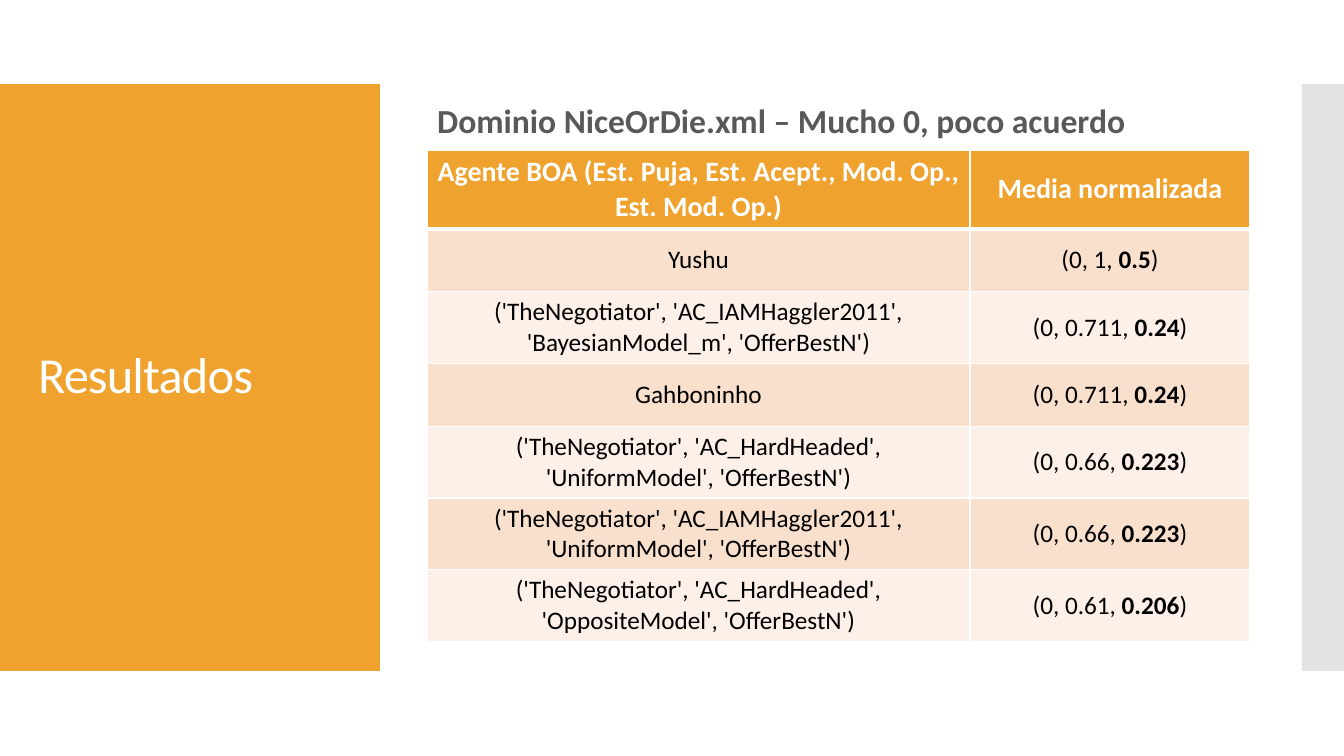
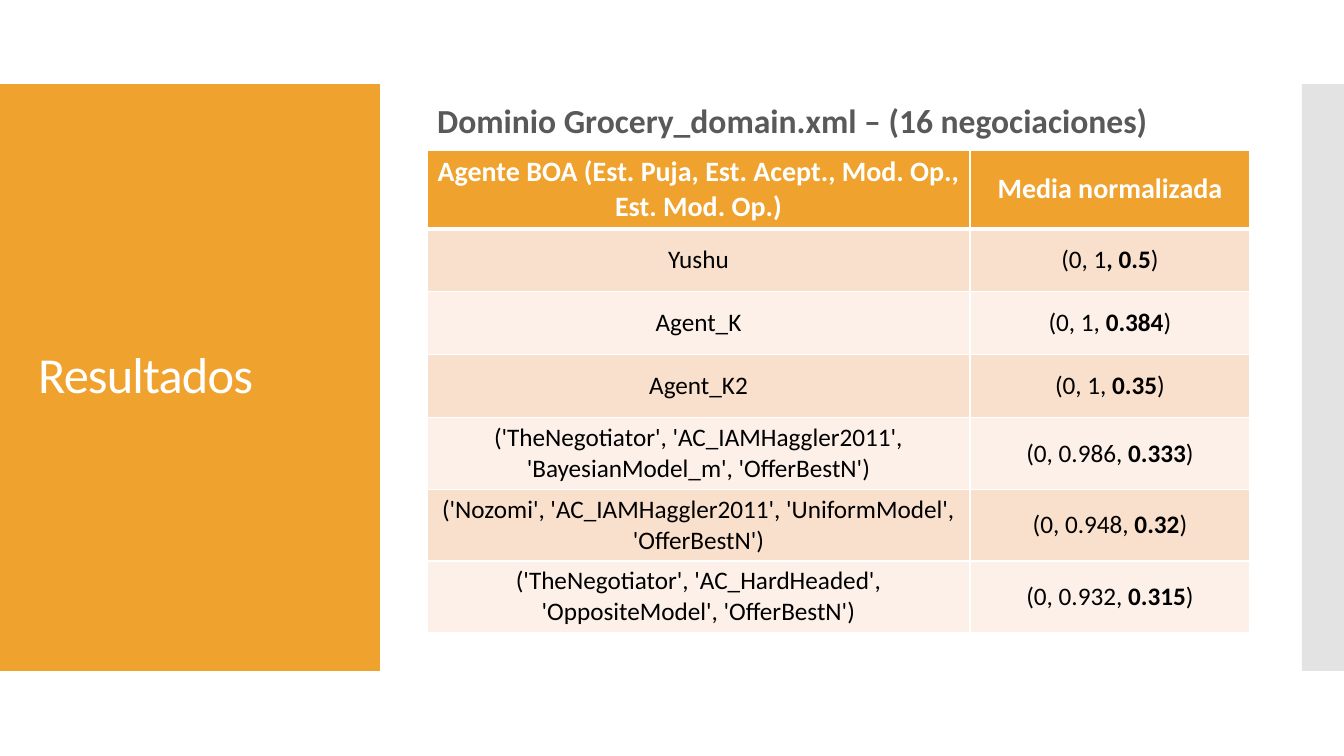
import dataclasses

import lxml.etree
import pptx
import pptx.dml.color
import pptx.enum.shapes
import pptx.enum.text
import pptx.oxml.ns
import pptx.util

PIXELS_PER_INCH = 100.8
MIDDLE = pptx.enum.text.MSO_ANCHOR.MIDDLE
LEFT = pptx.enum.text.PP_ALIGN.LEFT
CENTER = pptx.enum.text.PP_ALIGN.CENTER


@dataclasses.dataclass(frozen=True)
class Theme:
    """Colours and type sizes of the presentation."""
    font: str = "Calibri"
    accent: str = "F0A22E"
    edge: str = "C8C8C8"
    white: str = "FFFFFF"
    heading: str = "595959"
    ink: str = "000000"
    stripes: tuple = ("F9E0CD", "FCF0E8")
    title_size: int = 36
    heading_size: int = 24
    header_size: int = 20
    cell_size: int = 18


def px(pixels):
    """Turn whole pixels into EMU."""
    return pptx.util.Inches(pixels / PIXELS_PER_INCH)


def rgb(color):
    """Return the colour object for a hex string."""
    return pptx.dml.color.RGBColor.from_string(color)


def add_xml(parent, tag, **attributes):
    """Append an XML child and return it."""
    return lxml.etree.SubElement(parent, pptx.oxml.ns.qn(tag), attributes)


class Deck:
    """Holds the theme, the presentation and the current slide."""

    def __init__(self, theme):
        """Start an empty widescreen presentation."""
        self.theme = theme
        self.presentation = pptx.Presentation()
        self.presentation.slide_width = px(1344)
        self.presentation.slide_height = px(756)
        self.layout = self.presentation.slide_layouts[1]
        self.slide = None

    def add_slide(self):
        """Add a slide; the first one also gives the layout its bands."""
        first = self.slide is None
        self.slide = self.presentation.slides.add_slide(self.layout)
        if first:
            self.add_layout_band(0, 380, self.theme.accent)
            self.add_layout_band(1302, 42, self.theme.edge, alpha=50)

    def add_layout_band(self, left, width, color, alpha=100):
        """Draw a vertical band and move it into the shared layout."""
        band = self.slide.shapes.add_shape(
            pptx.enum.shapes.MSO_SHAPE.RECTANGLE,
            px(left), px(84), px(width), px(587))
        band.shadow.inherit = False
        band.line.fill.background()
        band.fill.solid()
        band.fill.fore_color.rgb = rgb(color)
        if alpha < 100:
            srgb = band._element.spPr.find(".//" + pptx.oxml.ns.qn("a:srgbClr"))
            add_xml(srgb, "a:alpha", val=str(alpha * 1000))
        self.layout.shapes._spTree.insert(2, band._element)

    def style_run(self, run, size, color, bold=False):
        """Apply font, size, colour and weight to a run."""
        run.font.name = self.theme.font
        run.font.size = pptx.util.Pt(size)
        run.font.color.rgb = rgb(color)
        run.font.bold = bold

    def fill_placeholder(self, holder, box, text, size, color, bold=False):
        """Move a placeholder, set its text and return the paragraph."""
        holder.left, holder.top, holder.width, holder.height = map(px, box)
        frame = holder.text_frame
        frame.text = text
        frame.word_wrap = True
        frame.auto_size = pptx.enum.text.MSO_AUTO_SIZE.NONE
        frame.vertical_anchor = MIDDLE
        paragraph = frame.paragraphs[0]
        paragraph.alignment = LEFT
        paragraph.line_spacing = 0.9
        self.style_run(paragraph.runs[0], size, color, bold)
        return paragraph

    def add_title(self, text):
        """Set the title on the coloured band."""
        paragraph = self.fill_placeholder(
            self.slide.shapes.title, (28, 124, 325, 507), text,
            self.theme.title_size, self.theme.white)
        paragraph.runs[0].font._element.set("spc", "-60")

    def add_heading(self, text):
        """Set the unbulleted heading above the table."""
        paragraph = self.fill_placeholder(
            self.slide.placeholders[1], (427, 95, 806, 55), text,
            self.theme.heading_size, self.theme.heading, bold=True)
        paragraph.space_before = pptx.util.Pt(12)
        properties = paragraph._element.get_or_add_pPr()
        properties.set("marL", "0")
        properties.set("indent", "0")
        add_xml(properties, "a:buNone")

    def border_cell(self, cell, widths):
        """Draw white cell borders with widths by side, in points."""
        properties = cell._tc.get_or_add_tcPr()
        for position, (side, width) in enumerate(widths.items()):
            line = add_xml(properties, "a:ln" + side,
                           w=str(pptx.util.Pt(width)))
            fill = add_xml(line, "a:solidFill")
            add_xml(fill, "a:srgbClr", val=self.theme.white)
            properties.insert(position, line)

    def fill_cell(self, cell, parts, size, color, background, widths):
        """Fill a cell with (text, bold) parts."""
        cell.fill.solid()
        cell.fill.fore_color.rgb = rgb(background)
        cell.vertical_anchor = MIDDLE
        paragraph = cell.text_frame.paragraphs[0]
        paragraph.alignment = CENTER
        for text, bold in parts:
            run = paragraph.add_run()
            run.text = text
            self.style_run(run, size, color, bold)
        self.border_cell(cell, widths)

    def add_results(self, headers, results):
        """Add the table of agents, value ranges and bold means."""
        theme = self.theme
        column_widths, row_height = (543, 280), 63
        row_count = len(results) + 1
        table = self.slide.shapes.add_table(
            row_count, len(headers), px(427), px(150),
            px(sum(column_widths)), px(row_height * row_count)).table
        for column, width in zip(table.columns, column_widths):
            column.width = px(width)
        for row in table.rows:
            row.height = px(row_height)
        for index, header in enumerate(headers):
            self.fill_cell(table.cell(0, index), [(header, True)],
                           theme.header_size, theme.white, theme.accent,
                           {"L": 1, "R": 1, "T": 1, "B": 3})
        for index, (agent, limits, mean) in enumerate(results, start=1):
            contents = ([(agent, False)],
                        [(limits, False), (mean, True), (")", False)])
            stripe = theme.stripes[(index - 1) % 2]
            top = 3 if index == 1 else 1
            for column, parts in enumerate(contents):
                self.fill_cell(table.cell(index, column), parts,
                               theme.cell_size, theme.ink, stripe,
                               {"L": 1, "R": 1, "T": top, "B": 1})


HEADERS = ("Agente BOA (Est. Puja, Est. Acept., Mod. Op., Est. Mod. Op.)",
           "Media normalizada")
HAGGLER_BAYESIAN = ("('TheNegotiator', 'AC_IAMHaggler2011', "
                    "'BayesianModel_m', 'OfferBestN')")
HARD_OPPOSITE = ("('TheNegotiator', 'AC_HardHeaded', "
                 "'OppositeModel', 'OfferBestN')")
DOMAINS = {
    "Dominio NiceOrDie.xml – Mucho 0, poco acuerdo": [
        ("Yushu", "(0, 1,", " 0.5"),
        (HAGGLER_BAYESIAN, "(0, 0.711, ", "0.24"),
        ("Gahboninho", "(0, 0.711,", " 0.24"),
        ("('TheNegotiator', 'AC_HardHeaded', 'UniformModel', 'OfferBestN')",
         "(0, 0.66,", " 0.223"),
        ("('TheNegotiator', 'AC_IAMHaggler2011', 'UniformModel', "
         "'OfferBestN')", "(0, 0.66,", " 0.223"),
        (HARD_OPPOSITE, "(0, 0.61,", " 0.206"),
    ],
    "Dominio Grocery_domain.xml – (16 negociaciones)": [
        ("Yushu", "(0, 1", ", 0.5"),
        ("Agent_K", "(0, 1,", " 0.384"),
        ("Agent_K2", "(0, 1, ", "0.35"),
        (HAGGLER_BAYESIAN, "(0, 0.986, ", "0.333"),
        ("('Nozomi', 'AC_IAMHaggler2011', 'UniformModel', 'OfferBestN')",
         "(0, 0.948,", " 0.32"),
        (HARD_OPPOSITE, "(0, 0.932,", " 0.315"),
    ],
}


def main():
    """Build one results slide for each domain."""
    deck = Deck(Theme())
    for heading, results in DOMAINS.items():
        deck.add_slide()
        deck.add_title("Resultados")
        deck.add_heading(heading)
        deck.add_results(HEADERS, results)
    deck.presentation.save("out.pptx")


main()
